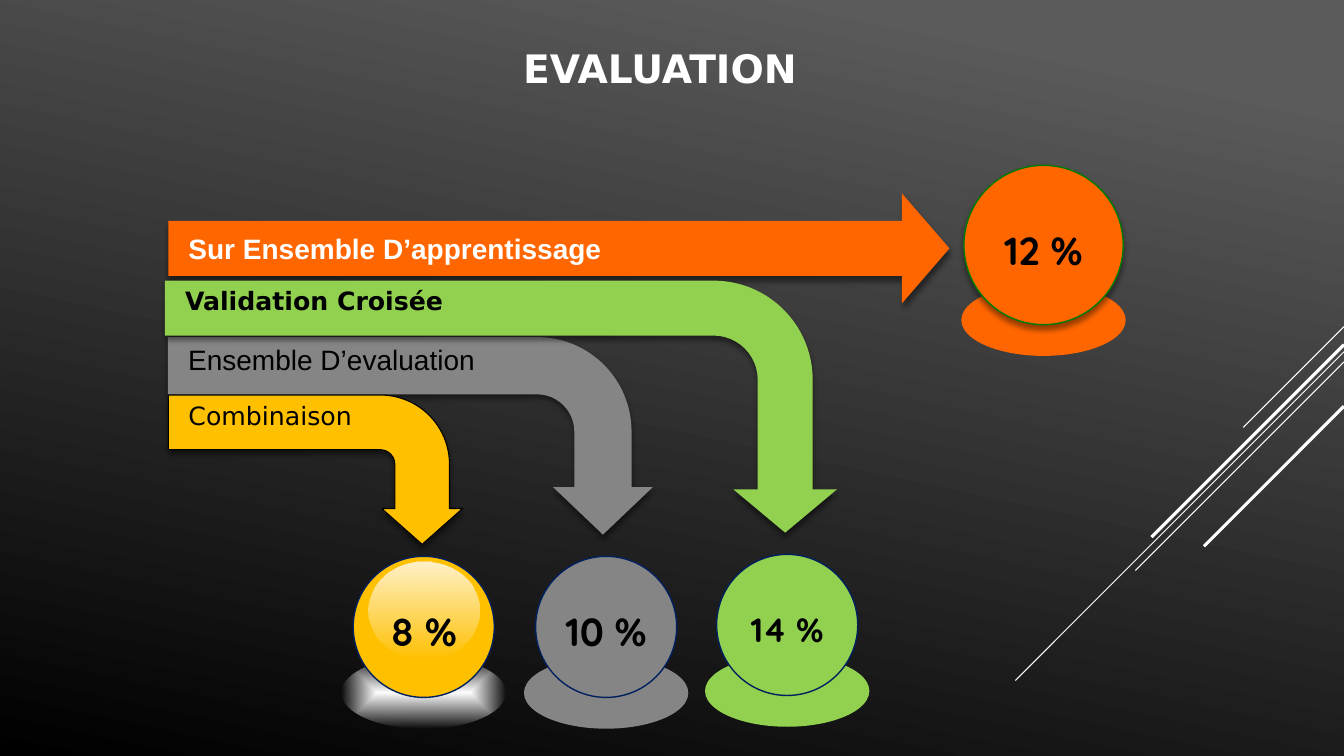
from lxml import etree
from pptx import Presentation
from pptx.dml.color import RGBColor
from pptx.enum import shapes, text
from pptx.oxml import ns
from pptx.util import Pt

WHITE = RGBColor(0xFF, 0xFF, 0xFF)
BLACK = RGBColor(0, 0, 0)
ASH = RGBColor(0x5B, 0x5B, 0x5B)
GREY = RGBColor(0x85, 0x85, 0x85)
GOLD = RGBColor(0xFF, 0xC0, 0x00)
ORANGE = RGBColor(0xFF, 0x66, 0x00)
GREEN = RGBColor(0x92, 0xD0, 0x50)
NAVY = RGBColor(0x00, 0x20, 0x60)
LEAF = RGBColor(0x00, 0x7A, 0x06)

TITLE = "EVALUATION"
EDGE = 960
RAYS = [(233.3, 72, 0.75), (251.3, 234.7, 0.75), (258.5, 149, 0.75),
        (246.2, 137.5, 2.25), (290.2, 100, 2.25)]

BENT = shapes.MSO_SHAPE.BENT_ARROW
STRAIGHT = shapes.MSO_SHAPE.RIGHT_ARROW
OVAL = shapes.MSO_SHAPE.OVAL
RECT = shapes.MSO_SHAPE.RECTANGLE

ARROWS = [
    dict(label="Ensemble D’evaluation", kind=BENT, box=(119.9, 240.8, 346.3, 141.1),
         adj=(0.29, 0.252, 0.24, 0.478), color=GREY, font=("Arial", 20, False, BLACK)),
    dict(label="Combinaison", kind=BENT, box=(120.2, 282.2, 210.2, 106.6),
         adj=(0.366, 0.271, 0.24, 0.463), color=GOLD, line=(BLACK, 0.75),
         font=("DejaVu Sans", 18, False, BLACK)),
    dict(label="Sur Ensemble D’apprentissage", kind=STRAIGHT, box=(120.2, 138.2, 558, 78.5),
         adj=(0.501, 0.432), color=ORANGE, font=("Arial", 20, True, WHITE)),
    dict(label="Validation Croisée", kind=BENT, box=(117.7, 200.5, 480.2, 180),
         adj=(0.218, 0.206, 0.172, 0.393), color=GREEN,
         font=("DejaVu Sans", 18, True, BLACK)),
]

BALLS = [
    dict(label="10 %", mid=433, top=397.4, size=100.8, color=GREY, rim=NAVY, pt=28),
    dict(label="8 %", mid=302.7, top=397.4, size=100.8, color=GOLD, rim=NAVY, pt=28, glass=True),
    dict(label="12 %", mid=745.4, top=118.1, size=113.8, color=ORANGE, rim=LEAF, pt=28, shade=40),
    dict(label="14 %", mid=562.3, top=396, size=100.8, color=GREEN, rim=NAVY, pt=24),
]


def sub(node, tag, **attrs):
    return etree.SubElement(node, ns.qn("a:" + tag), {k: str(v) for k, v in attrs.items()})


def shadow(shape, alpha):
    fx = shape.element.spPr.find(ns.qn("a:effectLst"))
    out = sub(fx, "outerShdw", blurRad=Pt(4), dist=Pt(3), dir=5400000,
              algn="ctr", rotWithShape=0)
    sub(sub(out, "srgbClr", val="000000"), "alpha", val=alpha * 1000)


def fade(shape, start, radial):
    shape.fill.gradient()
    for stop, pos in zip(shape.fill.gradient_stops, (0, 1)):
        stop.color.rgb, stop.position = WHITE, pos
    grad = shape.element.spPr.find(ns.qn("a:gradFill"))
    for clr, alpha in zip(grad.iter(ns.qn("a:srgbClr")), (start, 0)):
        sub(clr, "alpha", val=alpha * 1000)
    if radial:
        grad.remove(grad.find(ns.qn("a:lin")))
        sub(sub(grad, "path", path="shape"), "fillToRect", l=50000, t=50000, r=50000, b=50000)
    else:
        shape.fill.gradient_angle = 270


def draw(kind, box, color=None, line=None):
    shape = slide.shapes.add_shape(kind, *map(Pt, box))
    shape.shadow.inherit = False
    if color is None:
        shape.fill.background()
    else:
        shape.fill.solid()
        shape.fill.fore_color.rgb = color
    if line:
        shape.line.color.rgb, shape.line.width = line[0], Pt(line[1])
    else:
        shape.line.fill.background()
    return shape


def write(shape, words, font, align, anchor, pads=(7.2, 3.6, 7.2, 3.6)):
    frame = shape.text_frame
    frame.text = words
    frame.word_wrap = True
    frame.vertical_anchor = anchor
    (frame.margin_left, frame.margin_top,
     frame.margin_right, frame.margin_bottom) = map(Pt, pads)
    par = frame.paragraphs[0]
    par.alignment = align
    face = par.runs[0].font
    face.name, face.size, face.bold = font[0], Pt(font[1]), font[2]
    face.color.rgb = font[3]


def arrow(label, kind, box, adj, color, font, line=None):
    left, top, wide, high = box
    bent = kind == BENT
    if bent:
        box = (left + (wide - high) / 2, top + (high - wide) / 2, high, wide)
    shape = draw(kind, box, color, line)
    for i, val in enumerate(adj):
        shape.adjustments[i] = val
    shadow(shape, 46)
    if bent:
        shape.rotation = 90
        write(shape, label, font, text.PP_ALIGN.LEFT, text.MSO_ANCHOR.TOP,
              (7.2, 3.6, 7.2, 14.4))
        shape.element.txBody.find(ns.qn("a:bodyPr")).set("vert", "vert270")
    else:
        write(shape, label, font, text.PP_ALIGN.LEFT, text.MSO_ANCHOR.MIDDLE,
              (14.4, 3.6, 7.2, 3.6))


def ball(label, mid, top, size, color, rim, pt, glass=False, shade=0):
    def part(kind, y, wide, high, fill, line=None):
        return draw(kind, (mid - wide / 2, y, wide, high), fill, line)

    base = part(OVAL, top + size - 28.8, 117.4, 51.1, color)
    globe = part(OVAL, top, size, size, color, (rim, 1))
    gloss = part(OVAL, top + 3.6, size * 0.786, size * 0.693, color)
    if glass:
        fade(base, 100, True)
        fade(gloss, 80, False)
    if shade:
        shadow(globe, shade)
    high = pt * 1.25 + 6
    tag = part(RECT, top + size * 0.53 - high / 2, 86.4, high, None if glass else color)
    write(tag, label, ("Quicksand", pt, True, BLACK), text.PP_ALIGN.CENTER,
          text.MSO_ANCHOR.MIDDLE)


deck = Presentation()
deck.slide_width, deck.slide_height = Pt(960), Pt(540)
slide = deck.slides.add_slide(deck.slide_layouts[5])

back = slide.background.fill
back.gradient()
back.gradient_angle = 258
for stop, color, pos in zip(back.gradient_stops, (ASH, BLACK), (0.1, 1)):
    stop.color.rgb, stop.position = color, pos

head = slide.shapes.title
head.left, head.top, head.width, head.height = map(Pt, (111, 27, 720.7, 42.5))
write(head, TITLE, ("DejaVu Sans", 28, True, WHITE), text.PP_ALIGN.CENTER,
      text.MSO_ANCHOR.MIDDLE)

for y, run, width in RAYS:
    ray = slide.shapes.add_connector(shapes.MSO_CONNECTOR.STRAIGHT,
                                     *map(Pt, (EDGE, y, EDGE - run, y + run)))
    ray.line.color.rgb, ray.line.width = WHITE, Pt(width)
    sub(ray.element.spPr, "effectLst")

for item in ARROWS:
    arrow(**item)
for item in BALLS:
    ball(**item)

deck.save("out.pptx")
